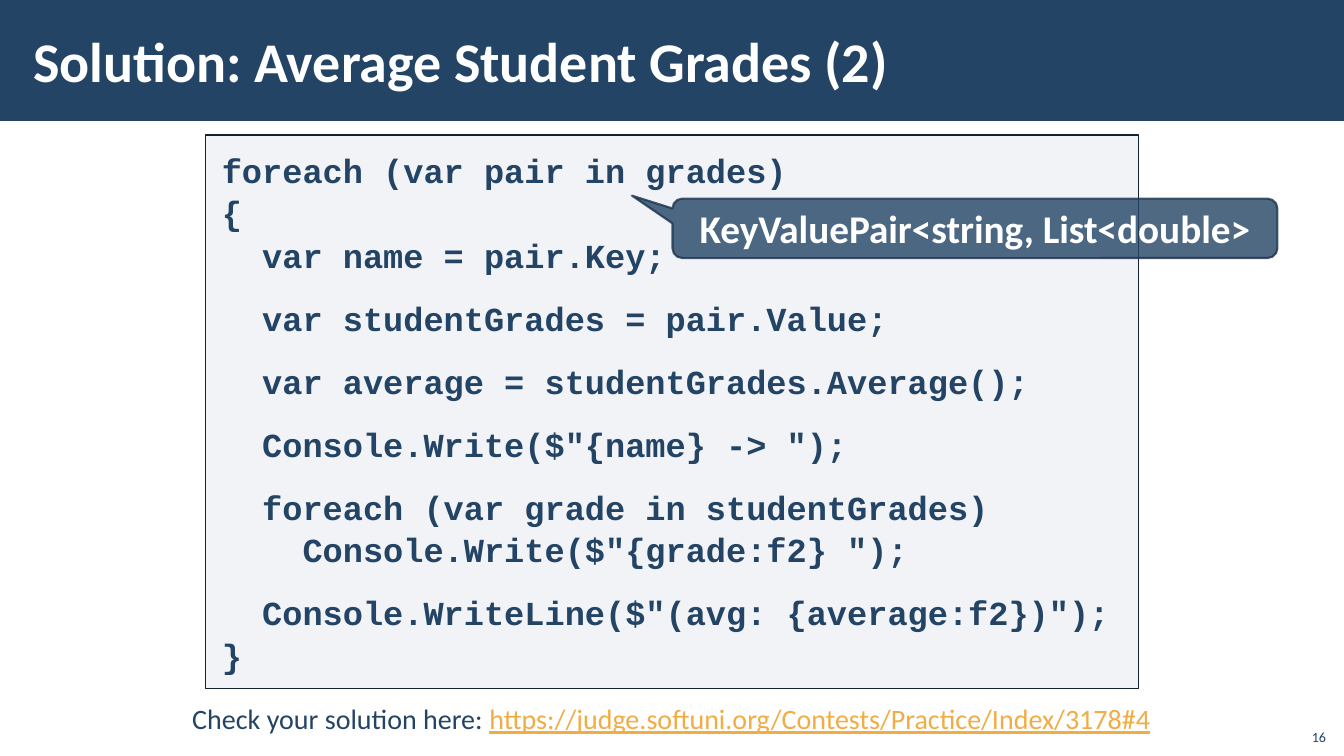
import pptx
import pptx.util
import pptx.dml.color
import pptx.enum.shapes
import pptx.enum.text
import pptx.oxml.ns
from lxml import etree

Inches, Pt = pptx.util.Inches, pptx.util.Pt
SHAPE = pptx.enum.shapes.MSO_SHAPE
ALIGN = pptx.enum.text.PP_ALIGN
ANCHOR = pptx.enum.text.MSO_ANCHOR
NAVY, WHITE, AMBER = "234465", "FFFFFF", "F2AC44"


def paint(color_owner, hex_color, alpha=100):
    """Colour a fill, line or font; alpha is the opacity in percent."""
    if hasattr(color_owner, "solid"):
        color_owner.solid()
        color = color_owner.fore_color
    else:
        color = color_owner.color
    color.rgb = pptx.dml.color.RGBColor.from_string(hex_color)
    if alpha < 100:
        fill = color_owner._xPr if hasattr(color_owner, "_xPr") else color_owner._ln
        srgb = next(fill.iter(pptx.oxml.ns.qn("a:srgbClr")))
        etree.SubElement(srgb, pptx.oxml.ns.qn("a:alpha"), val=str(alpha * 1000))


def write(s, paragraphs, size, margins=(0.1, 0.05), align=ALIGN.LEFT,
          anchor=ANCHOR.TOP, font="Calibri", bold=False):
    """Fill a shape with paragraphs, each a list of (text, colour) runs."""
    tf = s.text_frame
    frame_format = {"word_wrap": True, "vertical_anchor": anchor,
                    "margin_left": Inches(margins[0]), "margin_right": Inches(margins[0]),
                    "margin_top": Inches(margins[1]), "margin_bottom": Inches(margins[1])}
    for name, value in frame_format.items():
        setattr(tf, name, value)
    for i, runs in enumerate(paragraphs):
        p = tf.paragraphs[0] if i == 0 else tf.add_paragraph()
        p.alignment = align
        for text, color in runs:
            r = p.add_run()
            r.text = text
            for name, value in {"name": font, "size": Pt(size), "bold": bold}.items():
                setattr(r.font, name, value)
            paint(r.font.fill, color)
    return tf


prs = pptx.Presentation()
prs.slide_width, prs.slide_height = Inches(13.33), Inches(7.5)
slide = prs.slides.add_slide(prs.slide_layouts[6])
shapes = slide.shapes

# Title bar
bar = shapes.add_shape(SHAPE.RECTANGLE, 0, 0, prs.slide_width, Inches(1.2))
bar.shadow.inherit = False
paint(bar.fill, NAVY)
bar.line.fill.background()
title = shapes.add_textbox(Inches(0.21), Inches(0.11), Inches(10.63), Inches(0.97))
write(title, [[("Solution: Average Student Grades (2)", WHITE)]], 40,
      margins=(0.12, 0.04), anchor=ANCHOR.MIDDLE, bold=True)

# Code listing: blocks are set apart by paragraph spacing
code_blocks = [
    ["foreach (var pair in grades)", "{", "  var name = pair.Key;"],
    ["  var studentGrades = pair.Value;"],
    ["  var average = studentGrades.Average();"],
    ['  Console.Write($"{name} -> ");'],
    ["  foreach (var grade in studentGrades)", '    Console.Write($"{grade:f2} ");'],
    ['  Console.WriteLine($"(avg: {average:f2})");', "}"],
]
code = shapes.add_shape(SHAPE.RECTANGLE, Inches(2.04), Inches(1.34), Inches(9.25), Inches(5.49))
code.shadow.inherit = False
paint(code.fill, "ADB4C3", 15)
paint(code.line.fill, "112233")
code.line.width = Pt(1)
tf = write(code, [[(line, NAVY)] for block in code_blocks for line in block], 24,
           margins=(0.16, 0.12), font="Courier New", bold=True)
for p in tf.paragraphs:
    p.line_spacing = 1.06
first_line = 0
for block in code_blocks[:-1]:
    first_line += len(block)
    tf.paragraphs[first_line].space_before = Pt(14.4)

# Callout pointing at the loop variable
callout = shapes.add_shape(SHAPE.ROUNDED_RECTANGULAR_CALLOUT,
                           Inches(6.67), Inches(1.97), Inches(6), Inches(0.59))
callout.shadow.inherit = False
for i, value in enumerate((-0.567, -0.55, 0.167)):
    callout.adjustments[i] = value
paint(callout.fill, NAVY, 80)
paint(callout.line.fill, "1A334C", 80)
callout.line.width = Pt(1.5)
write(callout, [[("KeyValuePair<string, List<double>", WHITE)]], 28,
      align=ALIGN.CENTER, anchor=ANCHOR.MIDDLE, bold=True)

# Footer
number = shapes.add_textbox(Inches(12.85), Inches(7.12), Inches(0.4), Inches(0.32))
write(number, [[("16", NAVY)]], 10, align=ALIGN.RIGHT, anchor=ANCHOR.BOTTOM)
check = shapes.add_textbox(Inches(0.68), Inches(6.91), Inches(11.96), Inches(0.44))
tf = write(check, [[("Check your solution here: ", NAVY),
                    ("https://judge.softuni.org/Contests/Practice/Index/3178#4", AMBER)]],
           20, align=ALIGN.CENTER)
tf.paragraphs[0].runs[1].font.underline = True

prs.save("out.pptx")
